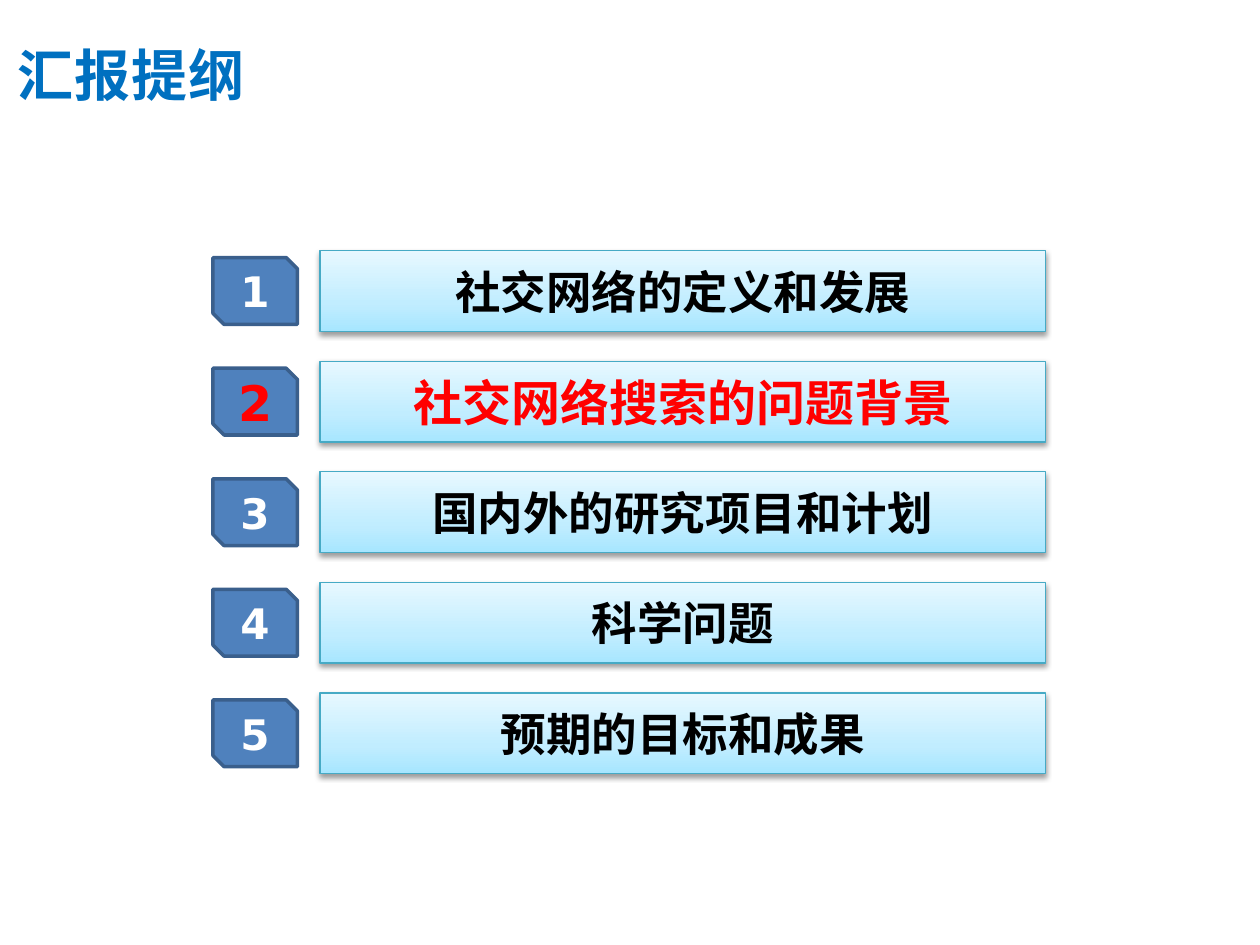
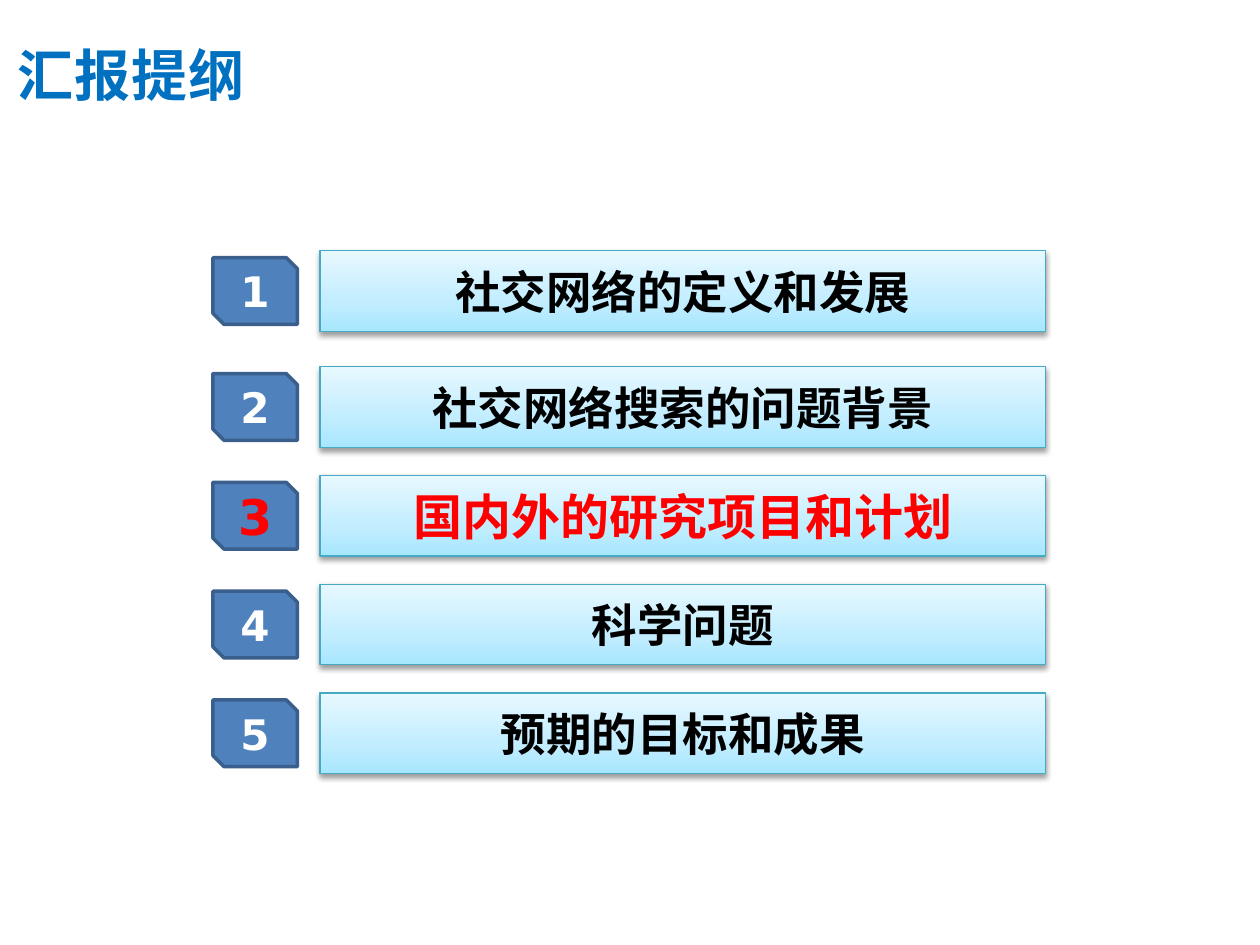
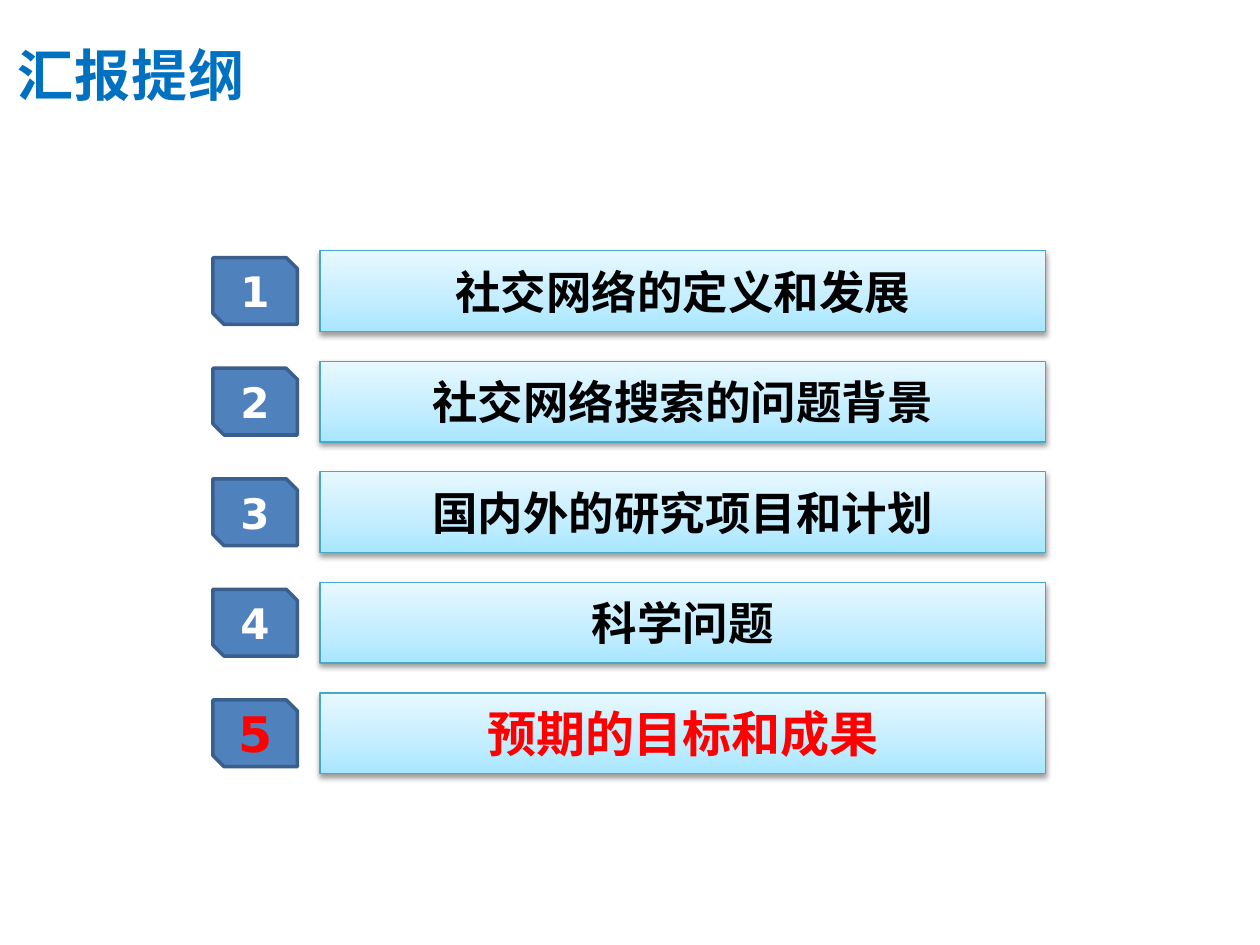
from dataclasses import dataclass

from lxml import etree
from pptx import Presentation
from pptx.dml.color import RGBColor
from pptx.enum.shapes import MSO_SHAPE
from pptx.enum.text import MSO_ANCHOR, PP_ALIGN
from pptx.oxml.ns import qn
from pptx.util import Inches, Pt

RECTANGLE = MSO_SHAPE.RECTANGLE
SNIPPED = MSO_SHAPE.SNIP_2_DIAG_RECTANGLE
MIDDLE = MSO_ANCHOR.MIDDLE
LEFT, CENTER = PP_ALIGN.LEFT, PP_ALIGN.CENTER

# Slide grid: 100 columns by 75 rows of equal cells
COLUMNS, ROWS = 100, 75
CELL = Inches(10) // COLUMNS


@dataclass(frozen=True)
class Theme:
    title_color: str = "0070C0"
    topic_color: str = "000000"
    number_color: str = "FFFFFF"
    current_color: str = "FF0000"
    badge_fill: str = "4F81BD"
    badge_line: str = "3A5F8C"
    bar_line: str = "46AAC5"
    bar_stops: tuple = ((0, "A7E6FF"), (35, "C1EDFF"), (100, "E7F8FF"))
    text_font: str = "Noto Sans CJK SC"
    number_font: str = "DejaVu Sans"
    title_size: int = 32
    topic_size: int = 26
    number_size: int = 24
    current_size: int = 28


@dataclass(frozen=True)
class Box:
    """A rectangle measured in grid cells."""
    left: float
    top: float
    width: float
    height: float

    def inside(self, left, top, width, height):
        return Box(self.left + left, self.top + top, width, height)

    def lengths(self):
        return [round(value * CELL)
                for value in (self.left, self.top, self.width, self.height)]


THEME = Theme()
TITLE = "汇报提纲"
TOPICS = ("社交网络的定义和发展", "社交网络搜索的问题背景", "国内外的研究项目和计划",
          "科学问题", "预期的目标和成果")
TITLE_BOX = Box(0.4, 1.3, 97.7, 9.1)
AGENDA_BOX = Box(16.9, 19.9, 66.1, 41.5)
ROW_HEIGHT = 6.4
BADGE_WIDTH, BADGE_HEIGHT = 6.7, 5.3
BAR_OFFSET = 8.5

# Current topic and distance from the first row to the second
AGENDA_SLIDES = ((2, 8.78), (3, 9.2), (5, 8.78))


def write_text(shape, text, *, size, color, font, align=CENTER, wrap=False,
               spacing=None):
    frame = shape.text_frame
    frame.word_wrap = wrap
    frame.vertical_anchor = MIDDLE
    paragraph = frame.paragraphs[0]
    paragraph.alignment = align
    run = paragraph.add_run()
    run.text = text
    run.font.size = Pt(size)
    run.font.bold = True
    run.font.name = font
    run.font.color.rgb = RGBColor.from_string(color)
    properties = run.font._element
    etree.SubElement(properties, qn("a:ea"), typeface=font)
    if spacing:
        properties.set("spc", str(round(spacing * 100)))


def add_outlined(shapes, kind, box, line_color, line_width):
    shape = shapes.add_shape(kind, *box.lengths())
    shape.shadow.inherit = False
    shape.line.color.rgb = RGBColor.from_string(line_color)
    shape.line.width = Pt(line_width)
    return shape


def add_color(parent, color):
    return etree.SubElement(parent, qn("a:srgbClr"), val=color)


def fill_gradient(shape, stops):
    shape.fill.gradient()
    shape.fill.gradient_angle = 90
    stop_list = shape._element.spPr.find(".//" + qn("a:gsLst"))
    for default_stop in list(stop_list):
        stop_list.remove(default_stop)
    for position, color in stops:
        add_color(etree.SubElement(stop_list, qn("a:gs"),
                                   pos=str(position * 1000)), color)


def add_shadow(shape):
    effects = shape._element.spPr.find(qn("a:effectLst"))
    shadow = etree.SubElement(effects, qn("a:outerShdw"), blurRad="40000",
                              dist="20000", dir="5400000", rotWithShape="0")
    etree.SubElement(add_color(shadow, "000000"), qn("a:alpha"), val="38000")


def add_title(slide, box):
    shape = slide.shapes.add_textbox(*box.lengths())
    write_text(shape, TITLE, size=THEME.title_size, color=THEME.title_color,
               font=THEME.text_font, align=LEFT, wrap=True, spacing=0.5)


def add_agenda_row(slide, box, number, topic, is_current):
    shapes = slide.shapes.add_group_shape().shapes

    # Topic bar
    bar = add_outlined(shapes, RECTANGLE,
                       box.inside(BAR_OFFSET, 0, box.width - BAR_OFFSET, box.height),
                       THEME.bar_line, 0.75)
    fill_gradient(bar, THEME.bar_stops)
    add_shadow(bar)

    # Number badge, centred on the height of the bar
    badge = add_outlined(shapes, SNIPPED,
                         box.inside(0, (box.height - BADGE_HEIGHT) / 2,
                                    BADGE_WIDTH, BADGE_HEIGHT),
                         THEME.badge_line, 2)
    badge.fill.solid()
    badge.fill.fore_color.rgb = RGBColor.from_string(THEME.badge_fill)

    # The current topic stands out in size and colour
    for shape, text, size, color, font in (
            (bar, topic, THEME.topic_size, THEME.topic_color, THEME.text_font),
            (badge, str(number), THEME.number_size, THEME.number_color,
             THEME.number_font)):
        if is_current:
            size, color = THEME.current_size, THEME.current_color
        write_text(shape, text, size=size, color=color, font=font)


def add_agenda(slide, box, current, first_step):
    # Rows after the first are spread evenly down to the bottom of the box
    pitch = (box.height - ROW_HEIGHT - first_step) / (len(TOPICS) - 2)
    for index, topic in enumerate(TOPICS):
        top = first_step + (index - 1) * pitch if index else 0
        add_agenda_row(slide, box.inside(0, top, box.width, ROW_HEIGHT),
                       index + 1, topic, index + 1 == current)


def main():
    presentation = Presentation()
    presentation.slide_width = COLUMNS * CELL
    presentation.slide_height = ROWS * CELL
    blank_layout = presentation.slide_layouts[6]
    for current, first_step in AGENDA_SLIDES:
        slide = presentation.slides.add_slide(blank_layout)
        add_title(slide, TITLE_BOX)
        add_agenda(slide, AGENDA_BOX, current, first_step)
    presentation.save("out.pptx")


if __name__ == "__main__":
    main()
